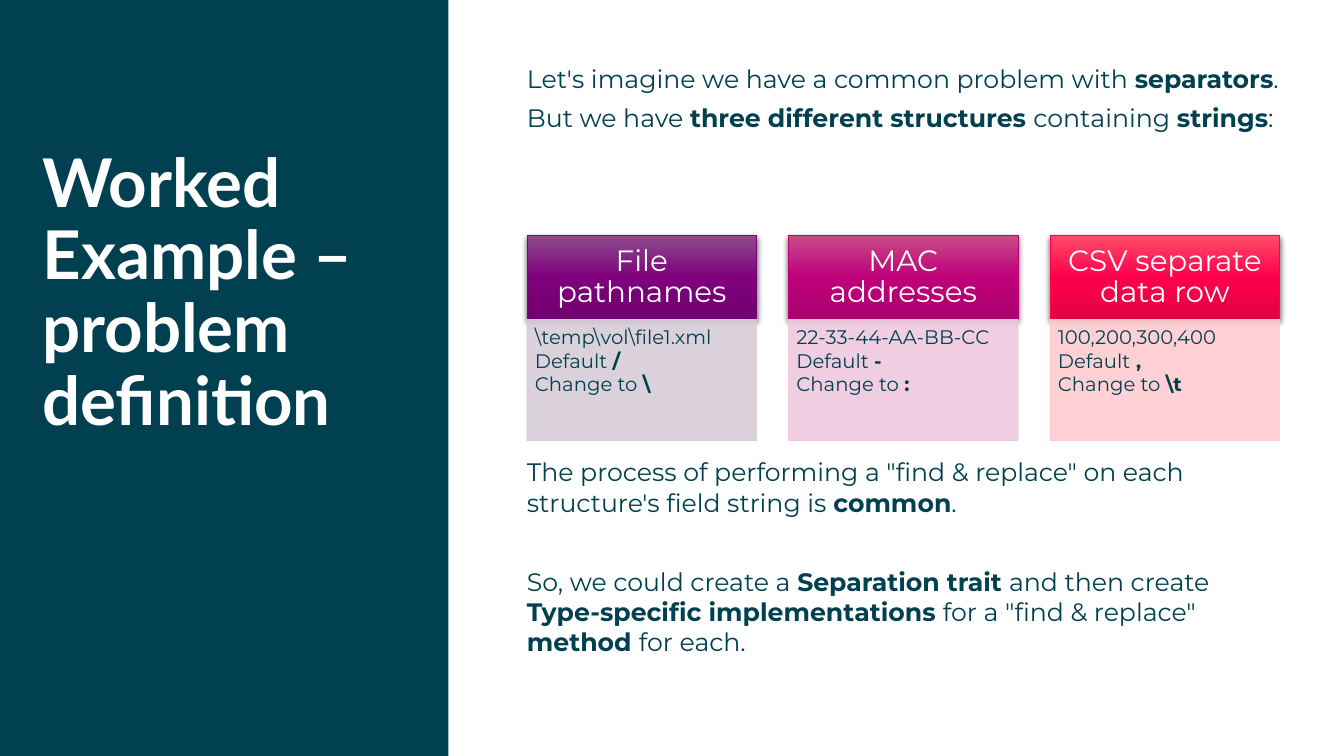
"""Build the worked example slide about separators in three structures."""
import copy
import pptx
import pptx.dml.color
import pptx.enum.shapes
import pptx.enum.text
import pptx.oxml
import pptx.oxml.ns
import pptx.util

Cm, Pt = pptx.util.Cm, pptx.util.Pt
RGB = pptx.dml.color.RGBColor.from_string
ALIGN = pptx.enum.text.PP_ALIGN
ANCHOR = pptx.enum.text.MSO_ANCHOR
RECT = pptx.enum.shapes.MSO_SHAPE.RECTANGLE

TITLE = "Worked Example – problem definition"
INTRO = [
    ("Let's imagine we have a common problem with ", "separators", "."),
    ("But we have ", "three different structures ", "containing ", "strings", ":"),
]
CLOSING = [
    ('The process of performing a "find & replace" on each structure\'s field string is ',
     "common", "."),
    ("So, we could create a ", "Separation trait ", "and then create ",
     "Type-specific implementations ", 'for a "find & replace" ', "method ", "for each."),
]
CARDS = [
    {"head": "File pathnames", "grad": ("8D4B8C", "7F007D", "71006F"), "tint": "D8CCD7",
     "rows": [("\\temp\\vol\\file1.xml",), ("Default ", "/"), ("Change to ", "\\")]},
    {"head": "MAC addresses", "grad": ("C74B8A", "BF007A", "AA006D"), "tint": "EFC8DD",
     "rows": [("22-33-44-AA-BB-CC",), ("Default ", "-"), ("Change to ", ":")]},
    {"head": "CSV separate data row", "grad": ("FF4B67", "FF004C", "E30044"), "tint": "FFCCD0",
     "rows": [("100,200,300,400",), ("Default", " ,"), ("Change to ", "\\t")]},
]
THEME = {
    "ink": "004050", "white": "FFFFFF", "title_font": "Lato", "font": "Montserrat",
    "title": 48, "body": 18, "head": 21, "row": 14,
}
SHADOW = (
    '<a:outerShdw %s blurRad="57150" dist="19050" dir="5400000" algn="ctr" rotWithShape="0">'
    '<a:srgbClr val="000000"><a:alpha val="63000"/></a:srgbClr></a:outerShdw>'
    % pptx.oxml.ns.nsdecls("a")
)
LEFT, COLUMN_W = 13.28, 19.05
CARD_W, CARD_STEP = 5.79, 6.59
HEAD_TOP, HEAD_H, ROWS_H = 5.94, 2.11, 3.05


def set_all(target, values):
    """Set every attribute named in values."""
    for name, value in values.items():
        setattr(target, name, value)


def write(tf, lines, size, color="ink", font="font", bold=False, insets=(0, 0, 0, 0),
          anchor=ANCHOR.TOP, **paragraph):
    """Fill a text frame with lines whose every second run is bold."""
    left, top, right, bottom = map(Cm, insets)
    set_all(tf, {"word_wrap": True, "auto_size": pptx.enum.text.MSO_AUTO_SIZE.NONE,
                 "vertical_anchor": anchor, "margin_left": left, "margin_top": top,
                 "margin_right": right, "margin_bottom": bottom})
    for i, line in enumerate(lines):
        p = tf.add_paragraph() if i else tf.paragraphs[0]
        set_all(p, {"alignment": ALIGN.LEFT, **paragraph})
        for j, text in enumerate(line):
            r = p.add_run()
            r.text = text
            set_all(r.font, {"name": THEME[font], "size": Pt(THEME[size]),
                             "bold": bold or j % 2 == 1})
            r.font.color.rgb = RGB(THEME[color])


def add_text(s, top, height, lines, gap):
    """Add a text box in the right-hand column."""
    sp = s.shapes.add_textbox(Cm(LEFT), Cm(top), Cm(COLUMN_W), Cm(height))
    write(sp.text_frame, lines, "body", space_after=Pt(gap))


def add_rect(s, left, top, width, height, color):
    """Add a flat rectangle with a thin line of its own colour."""
    sp = s.shapes.add_shape(RECT, Cm(left), Cm(top), Cm(width), Cm(height))
    sp.shadow.inherit = False
    sp.fill.solid()
    sp.fill.fore_color.rgb = sp.line.color.rgb = RGB(color)
    sp.line.width = Pt(0.5)
    return sp


def add_card(s, left, card):
    """Add a gradient header above a tinted block of rows."""
    head = add_rect(s, left, HEAD_TOP, CARD_W, HEAD_H, card["grad"][1])
    head.fill.gradient()
    head.fill.gradient_angle = 270
    stops = head.element.find(".//" + pptx.oxml.ns.qn("a:gsLst"))
    stops.append(copy.deepcopy(stops[0]))
    for i, stop in enumerate(head.fill.gradient_stops):
        stop.position = i / 2
        stop.color.rgb = RGB(card["grad"][i])
    effects = head.element.spPr.find(pptx.oxml.ns.qn("a:effectLst"))
    effects.append(pptx.oxml.parse_xml(SHADOW))
    write(head.text_frame, [(card["head"],)], "head", "white", anchor=ANCHOR.MIDDLE,
          insets=(0.41, 0.23, 0.41, 0.23), alignment=ALIGN.CENTER, line_spacing=0.9)

    rows = add_rect(s, left, HEAD_TOP + HEAD_H, CARD_W, ROWS_H, card["tint"])
    for color in rows.element.spPr.iter(pptx.oxml.ns.qn("a:srgbClr")):
        alpha = pptx.oxml.parse_xml('<a:alpha %s val="90000"/>' % pptx.oxml.ns.nsdecls("a"))
        color.append(alpha)
    write(rows.text_frame, card["rows"], "row", insets=(0.2, 0.2, 0.28, 0.3),
          line_spacing=0.9, space_after=Pt(1.8))


def main():
    """Build and save the slide."""
    prs = pptx.Presentation()
    prs.slide_width, prs.slide_height = Cm(33.87), Cm(19.05)
    s = prs.slides.add_slide(prs.slide_layouts[5])

    title = s.shapes.title
    set_all(title, {"left": Cm(1.07), "top": Cm(3.76), "width": Cm(9.58), "height": Cm(7.65)})
    write(title.text_frame, [(TITLE,)], "title", "white", "title_font", True, line_spacing=0.9)
    panel = add_rect(s, 0, 0, 11.3, 19.05, THEME["ink"])
    panel.line.fill.background()
    title.element.addprevious(panel.element)

    add_text(s, 1.6, 2, INTRO, 6.5)
    for i, card in enumerate(CARDS):
        add_card(s, LEFT + i * CARD_STEP, card)
    add_text(s, 11.51, 5.1, CLOSING, 34.9)
    prs.save("out.pptx")


if __name__ == "__main__":
    main()
